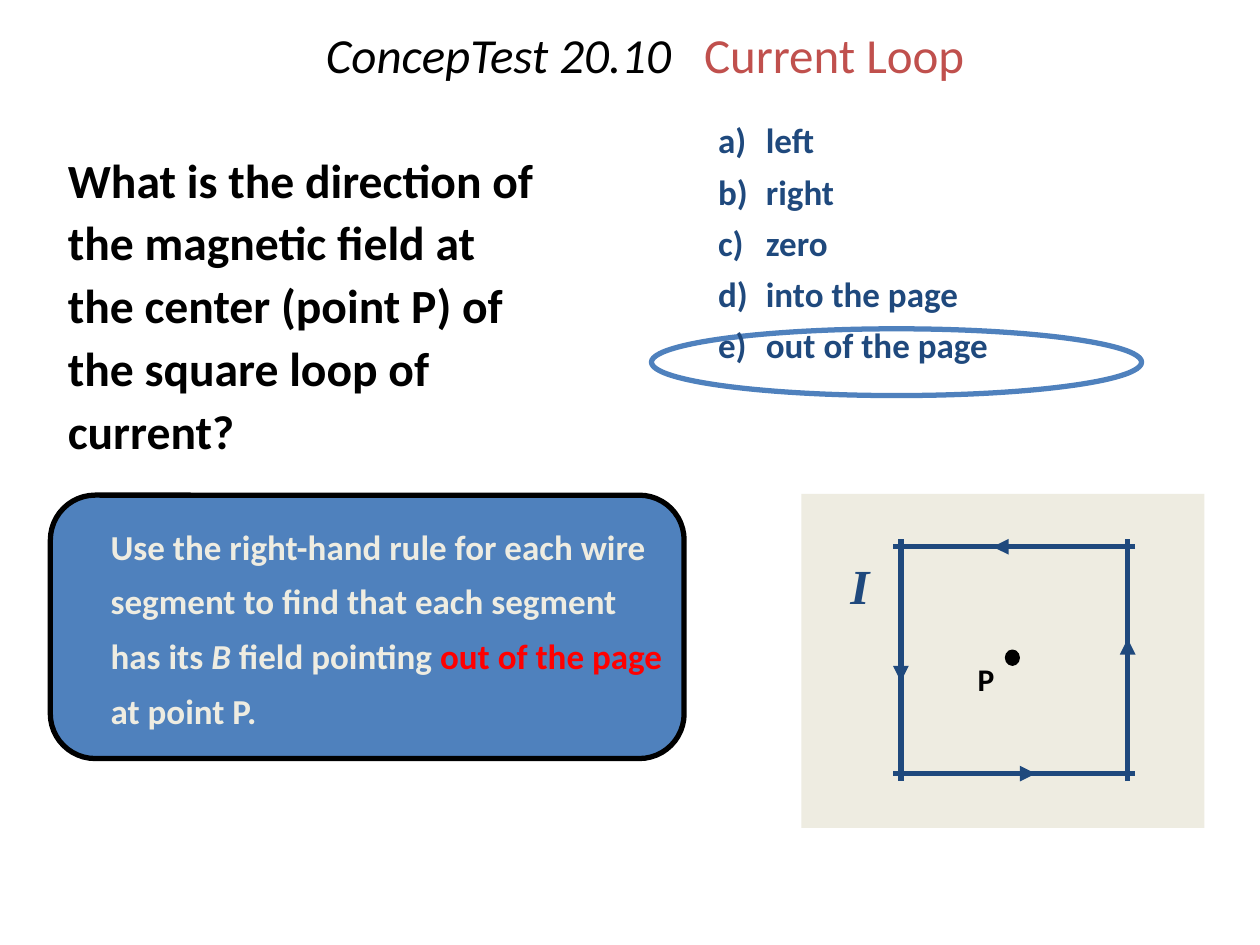
from lxml import etree
from pptx import Presentation
from pptx.dml.color import RGBColor
from pptx.enum.shapes import MSO_CONNECTOR, MSO_SHAPE
from pptx.enum.text import MSO_ANCHOR, PP_ALIGN
from pptx.oxml.ns import qn
from pptx.util import Inches, Pt

STRAIGHT = MSO_CONNECTOR.STRAIGHT
RECTANGLE = MSO_SHAPE.RECTANGLE
ROUNDED = MSO_SHAPE.ROUNDED_RECTANGLE
OVAL = MSO_SHAPE.OVAL
LEFT, CENTER = PP_ALIGN.LEFT, PP_ALIGN.CENTER
TOP, MIDDLE = MSO_ANCHOR.TOP, MSO_ANCHOR.MIDDLE

COLORS = {
    "black": "000000",
    "blue": "4F81BD",
    "navy": "1F497D",
    "cream": "EEECE1",
    "brick": "C0504D",
    "red": "FF0000",
}


def rgb(name):
    return RGBColor.from_string(COLORS[name])


def add_text(shapes, box, paragraphs, size, color="black", font="Calibri", bold=False,
             italic=False, align=LEFT, anchor=TOP, line=1.0, gap=0, margin=0.0,
             hanging=False, wrap=True):
    frame = shapes.add_textbox(*map(Inches, box)).text_frame
    frame.word_wrap = wrap
    frame.vertical_anchor = anchor
    for index, runs in enumerate(paragraphs):
        paragraph = frame.paragraphs[0] if index == 0 else frame.add_paragraph()
        paragraph.alignment = align
        paragraph.line_spacing = line
        paragraph.space_before = Pt(gap if index else 0)
        properties = paragraph._p.get_or_add_pPr()
        properties.set("marL", str(Inches(margin)))
        properties.set("indent", str(-Inches(margin) if hanging else 0))
        for words, style in runs:
            run = paragraph.add_run()
            run.text = words
            run.font.name = font
            run.font.size = Pt(size)
            run.font.bold = bold
            run.font.italic = style.get("italic", italic)
            run.font.color.rgb = rgb(style.get("color", color))
            if "spacing" in style:
                run.font._element.set("spc", str(style["spacing"]))


def add_outline(shapes, kind, box, fill=None, line=None, width=3):
    shape = shapes.add_shape(kind, *map(Inches, box))
    shape.shadow.inherit = False
    if fill:
        shape.fill.solid()
        shape.fill.fore_color.rgb = rgb(fill)
    else:
        shape.fill.background()
    if line:
        shape.line.color.rgb = rgb(line)
        shape.line.width = Pt(width)
    else:
        shape.line.fill.background()
    return shape


def add_wire(shapes, start, end, arrow=False):
    wire = shapes.add_connector(STRAIGHT, *map(Inches, (*start, *end)))
    wire.line.color.rgb = rgb("navy")
    wire.line.width = Pt(3)
    if arrow:
        etree.SubElement(wire.line._get_or_add_ln(), qn("a:tailEnd"), type="triangle")
    etree.SubElement(wire._element.spPr, qn("a:effectLst"))


def add_title(shapes, box):
    add_text(shapes, box, [[
        ("ConcepTest 20.10", {"italic": True}),
        (" ", {"spacing": 1260}),
        ("Current Loop", {"color": "brick"}),
    ]], 28, align=CENTER, anchor=MIDDLE, line=0.9)


def add_question(shapes, box):
    question = ("What is the direction of the magnetic field at the center (point P) "
                "of the square loop of current?")
    add_text(shapes, box, [[(question, {})]], 27.2, bold=True, line=1.1, margin=0.44)


def add_explanation(shapes, box):
    left, top, width, height = box
    add_outline(shapes, ROUNDED, box, "blue", "black").adjustments[0] = 0.17
    add_text(shapes, (left + 0.07, top + 0.09, width - 0.09, height - 0.25), [[
        ("Use the right-hand rule for each wire segment to find that each segment has its ", {}),
        ("B", {"italic": True}),
        (" field pointing ", {}),
        ("out of the page", {"color": "red"}),
        (" at point P.", {}),
    ]], 20, "cream", bold=True, line=1.3, margin=0.31)


def add_answers(shapes, box):
    left, top, width, height = box
    answers = ["left", "right", "zero", "into the page", "out of the page"]
    add_outline(shapes, OVAL, (left - 0.43, top + 1.65, 3.89, 0.53), line="blue")
    add_text(shapes, box, [[(f"{letter})\t{answer}", {})]
                           for letter, answer in zip("abcde", answers)],
             20, "navy", bold=True, line=0.8, gap=10, margin=0.38, hanging=True)


def add_loop(shapes, box):
    left, top, width, height = box
    parts = shapes.add_group_shape().shapes
    add_outline(parts, RECTANGLE, box, "cream")
    center_x, center_y = left + 1.69, top + 1.32
    half, overhang, tip, tail = 0.9, 0.06, 0.17, 0.04
    for across, along in [((-1, 0), (0, 1)), ((1, 0), (0, -1)),
                          ((0, 1), (1, 0)), ((0, -1), (-1, 0))]:
        def point(distance):
            return (center_x + across[0] * half + along[0] * distance,
                    center_y + across[1] * half + along[1] * distance)

        add_wire(parts, point(-half - overhang), point(half + overhang))
        add_wire(parts, point(-tail), point(tip), arrow=True)
    add_outline(parts, OVAL, (left + 1.62, top + 1.24, 0.11, 0.12), "black", "black", 0.75)
    add_text(parts, (left + 1.3, top + 1.24, 0.42, 0.54), [[("P", {})]], 18,
             bold=True, line=1.11, wrap=False)
    add_text(parts, (left + 0.29, top + 0.39, 0.35, 0.62), [[("I", {})]], 28, "navy",
             font="Times New Roman", bold=True, italic=True, line=1.11, wrap=False)


def main():
    presentation = Presentation()
    presentation.slide_width = Inches(10)
    presentation.slide_height = Inches(7.5)
    shapes = presentation.slides.add_slide(presentation.slide_layouts[6]).shapes
    add_explanation(shapes, (0.4, 3.93, 5.03, 2.09))
    add_title(shapes, (0.72, 0, 8.8, 0.92))
    add_question(shapes, (0, 1.1, 4.46, 2.08))
    add_loop(shapes, (6.36, 3.92, 3.2, 2.65))
    add_answers(shapes, (5.6, 0.96, 4.11, 2.13))
    presentation.save("out.pptx")


if __name__ == "__main__":
    main()
